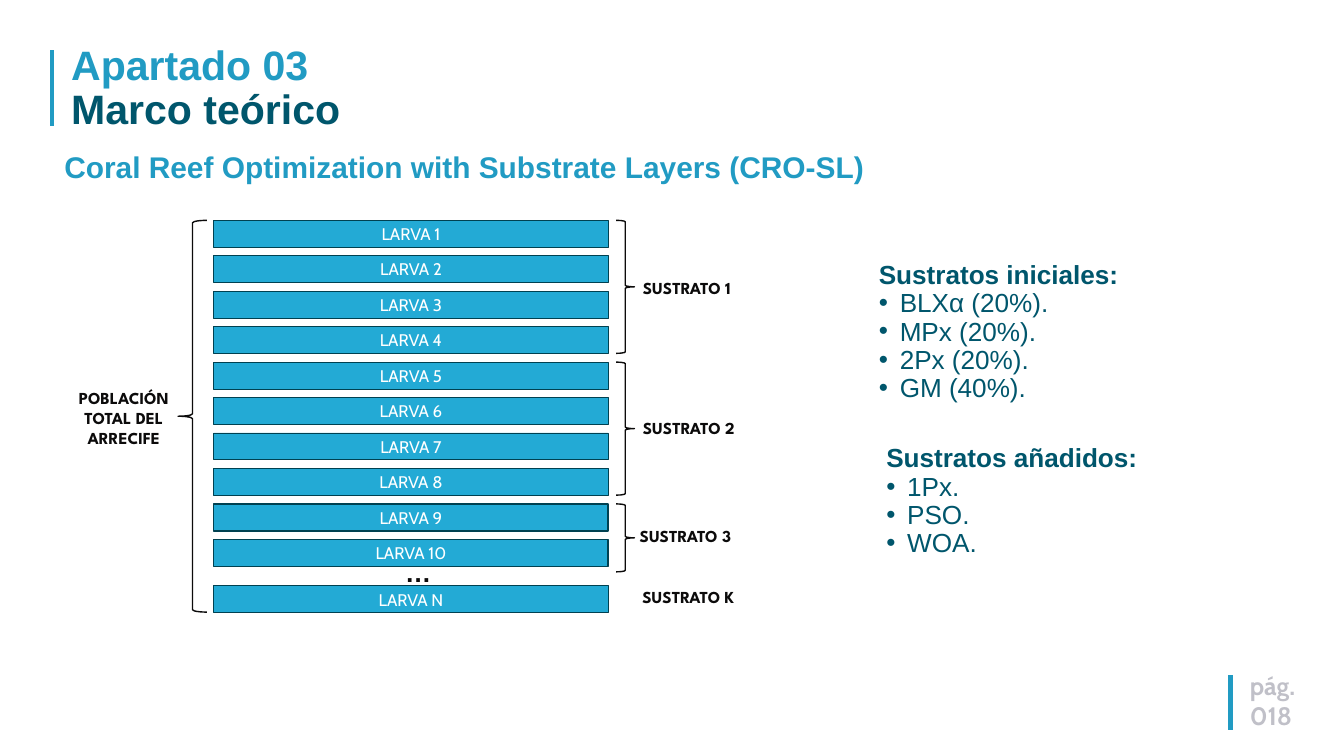
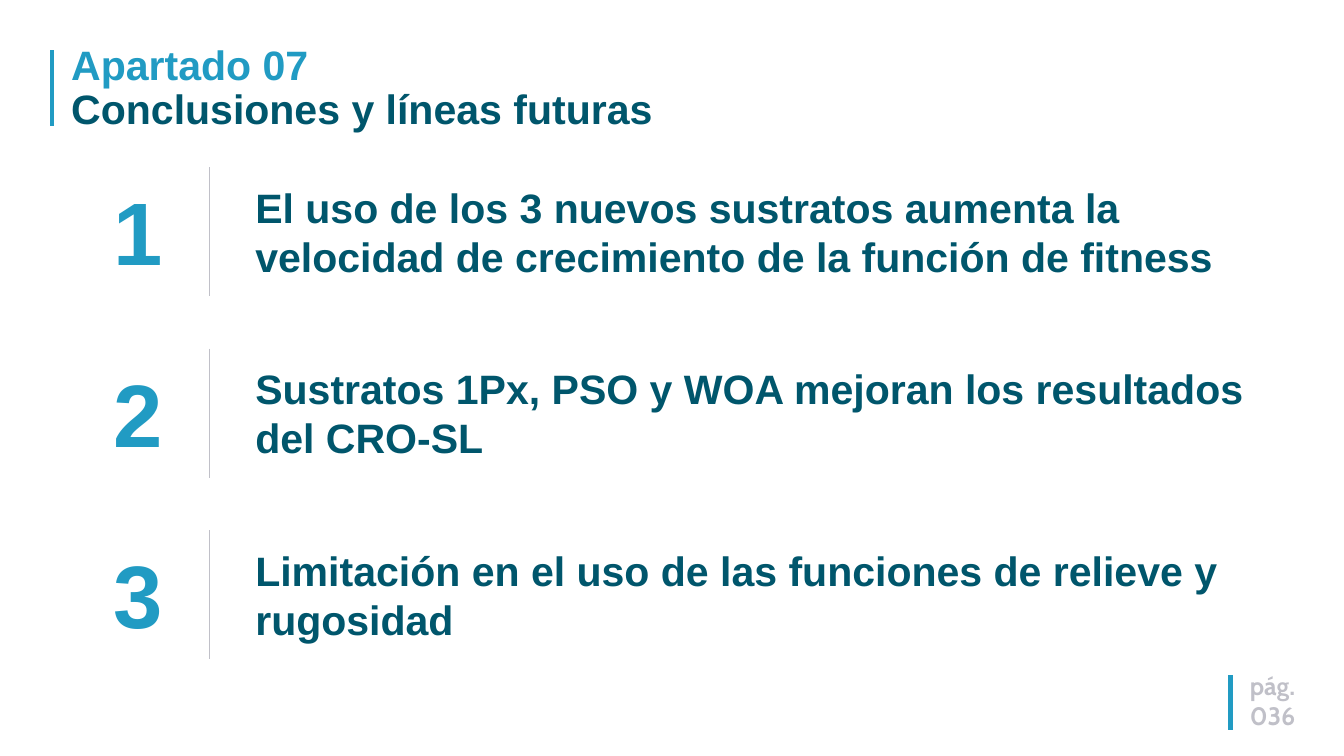
import dataclasses
import typing

import pptx
import pptx.dml.color
import pptx.enum.shapes
import pptx.enum.text
import pptx.oxml
import pptx.oxml.ns
import pptx.shapes.autoshape
import pptx.shapes.shapetree
import pptx.slide
import pptx.text.text
import pptx.util
from lxml import etree

Cm = pptx.util.Cm
Pt = pptx.util.Pt
RGBColor = pptx.dml.color.RGBColor
Align = pptx.enum.text.PP_ALIGN
Preset = pptx.enum.shapes.MSO_SHAPE
Shapes = typing.Union[pptx.shapes.shapetree.SlideShapes,
                      pptx.shapes.shapetree.GroupShapes]

# Shared colours
BLUE = RGBColor(0x21, 0x9B, 0xC3)
TEAL = RGBColor(0x00, 0x56, 0x6C)
GREY = RGBColor(0xC0, 0xC0, 0xC8)
LARVA_FILL = RGBColor(0x23, 0xAA, 0xD5)
LARVA_EDGE = RGBColor(0x00, 0x41, 0x51)
WHITE = RGBColor(0xFF, 0xFF, 0xFF)
BLACK = RGBColor(0x0C, 0x0B, 0x0B)


@dataclasses.dataclass(frozen=True)
class Box:
    """Place and size in centimetres."""
    left: float
    top: float
    width: float
    height: float

    def emu(self) -> tuple[int, int, int, int]:
        return Cm(self.left), Cm(self.top), Cm(self.width), Cm(self.height)


@dataclasses.dataclass(frozen=True)
class Style:
    size: float
    color: typing.Optional[RGBColor]
    name: str = "Arial"
    bold: bool = True
    align: Align = Align.LEFT
    spacing: float = 1.0


@dataclasses.dataclass(frozen=True)
class Substrate:
    label: str
    label_box: Box
    first_row: int = 0
    brace_height: float = 0  # zero means no brace


@dataclasses.dataclass(frozen=True)
class BulletList:
    heading: str
    items: tuple[str, ...]
    box: Box


# Text styles
TITLE = Style(44, None, spacing=0.9)
PAGE = Style(27, GREY, "Cabin")
SUBTITLE = Style(32, BLUE, spacing=0.9)
LARVA = Style(18, WHITE, "Cabin", bold=False, align=Align.CENTER)
LABEL = Style(18, BLACK, "League Spartan")
POPULATION = dataclasses.replace(LABEL, align=Align.CENTER)
ELLIPSIS = Style(28, BLACK)
LIST_HEADING = Style(28, TEAL, spacing=0.9)
LIST_ITEM = dataclasses.replace(LIST_HEADING, bold=False)
CONCLUSION = Style(44, TEAL)
NUMBER = Style(95, BLUE, align=Align.RIGHT)

# Reef diagram
LARVA_LEFT, LARVA_TOP, LARVA_WIDTH, LARVA_HEIGHT = 8.08, 8.33, 14.91, 1.02
LARVA_PITCH = 1.34
LARVA_COUNT = 10
LAST_LARVA_TOP = 22.15
SUBSTRATES = (
    Substrate("SUSTRATO 1", Box(24.05, 10.39, 4.85, 1.3), 0, 5.03),
    Substrate("SUSTRATO 2", Box(24.05, 15.65, 4.62, 1.3), 4, 5.03),
    Substrate("SUSTRATO 3", Box(23.93, 19.74, 4.62, 1.3), 8, 2.57),
    Substrate("SUSTRATO K", Box(24.03, 22.07, 4.85, 1.02)),
)
BULLET_LISTS = (
    BulletList("Sustratos iniciales:",
               ("BLXα (20%).", "MPx (20%).", "2Px (20%).", "GM (40%)."),
               Box(32.97, 9.78, 11.38, 5.99)),
    BulletList("Sustratos añadidos:", ("1Px.", "PSO.", "WOA."),
               Box(33.25, 16.71, 11.38, 5.99)),
)

# Conclusions
CONCLUSIONS = (
    "El uso de los 3 nuevos sustratos aumenta la velocidad de crecimiento "
    "de la función de fitness",
    "Sustratos 1Px, PSO y WOA mejoran los resultados del CRO-SL",
    "Limitación en el uso de las funciones de relieve y rugosidad",
)
CONCLUSION_PITCH = 6.86


def apply_style(paragraph: pptx.text.text._Paragraph, style: Style) -> None:
    paragraph.alignment = style.align
    paragraph.line_spacing = style.spacing
    paragraph.font.size = Pt(style.size)
    paragraph.font.name = style.name
    paragraph.font.bold = style.bold
    if style.color is not None:
        paragraph.font.color.rgb = style.color


def add_bullet(paragraph: pptx.text.text._Paragraph) -> None:
    properties = paragraph._p.get_or_add_pPr()
    properties.set("marL", str(Cm(0.79)))
    properties.set("indent", str(-Cm(0.79)))
    for tag, key, value in (("a:buFont", "typeface", "Arial"),
                            ("a:buChar", "char", "•")):
        etree.SubElement(properties, pptx.oxml.ns.qn(tag)).set(key, value)


def add_text(shapes: Shapes, box: Box, style: Style,
             *lines: str) -> pptx.text.text.TextFrame:
    frame = shapes.add_textbox(*box.emu()).text_frame
    frame.word_wrap = True
    frame.text = "\n".join(lines)
    for paragraph in frame.paragraphs:
        apply_style(paragraph, style)
    return frame


def add_vertical(shapes: Shapes, x: float, top: float, bottom: float,
                 color: RGBColor, weight: float) -> None:
    rule = shapes.add_connector(pptx.enum.shapes.MSO_CONNECTOR.STRAIGHT,
                                Cm(x), Cm(top), Cm(x), Cm(bottom))
    rule.line.color.rgb = color
    rule.line.width = Pt(weight)
    etree.SubElement(rule._element.spPr, pptx.oxml.ns.qn("a:effectLst"))


def add_outlined(shapes: Shapes, preset: Preset, box: Box, edge: RGBColor,
                 weight: float) -> pptx.shapes.autoshape.Shape:
    outlined = shapes.add_shape(preset, *box.emu())
    outlined.shadow.inherit = False
    outlined.fill.background()
    outlined.line.color.rgb = edge
    outlined.line.width = Pt(weight)
    return outlined


def add_larva(shapes: Shapes, name: str, top: float, weight: float) -> None:
    larva = add_outlined(shapes, Preset.RECTANGLE,
                         Box(LARVA_LEFT, top, LARVA_WIDTH, LARVA_HEIGHT),
                         LARVA_EDGE, weight)
    larva.fill.solid()
    larva.fill.fore_color.rgb = LARVA_FILL
    frame = larva.text_frame
    frame.text = f"LARVA {name}"
    frame.vertical_anchor = pptx.enum.text.MSO_ANCHOR.MIDDLE
    apply_style(frame.paragraphs[0], LARVA)


def add_section_slide(deck: pptx.presentation.Presentation, section: str,
                      title: str, title_width: float,
                      page: str) -> pptx.slide.Slide:
    slide = deck.slides.add_slide(deck.slide_layouts[6])
    add_vertical(slide.shapes, 46.51, 25.53, 27.58, BLUE, 5)
    add_vertical(slide.shapes, 1.96, 1.9, 4.78, BLUE, 5)

    # Section and title share one paragraph with a line break
    frame = add_text(slide.shapes, Box(2.44, 1.57, title_width, 3.66), TITLE)
    heading = frame.paragraphs[0]
    for text, color in ((section, BLUE), (title, TEAL)):
        if heading.runs:
            heading.add_line_break()
        run = heading.add_run()
        run.text = text
        run.font.color.rgb = color

    add_text(slide.shapes, Box(46.99, 25.2, 3.8, 2.57), PAGE, "pág.", page)
    return slide


def draw_reef(shapes: Shapes) -> None:
    def row_top(row: int) -> float:
        return LARVA_TOP + row * LARVA_PITCH

    # Larvae
    for row in range(LARVA_COUNT):
        add_larva(shapes, str(row + 1), row_top(row), 1 if row < 8 else 1.5)
    add_larva(shapes, "N", LAST_LARVA_TOP, 1)
    add_text(shapes, Box(15.06, 20.9, 1.5, 1.45), ELLIPSIS, "…")

    # Substrates
    for substrate in SUBSTRATES:
        if substrate.brace_height:
            add_outlined(shapes, Preset.RIGHT_BRACE,
                         Box(23.29, row_top(substrate.first_row), 0.69,
                             substrate.brace_height), BLACK, 1.5)
        add_text(shapes, substrate.label_box, LABEL, substrate.label)

    # Whole population
    population = add_outlined(shapes, Preset.RIGHT_BRACE,
                              Box(6.73, LARVA_TOP, 1.09, 14.81), BLACK, 1.5)
    population.rotation = 180
    add_text(shapes, Box(2.18, 14.53, 5, 2.57), POPULATION,
             "POBLACIÓN TOTAL DEL ARRECIFE")


def draw_bullet_list(shapes: Shapes, bullets: BulletList) -> None:
    frame = add_text(shapes, bullets.box, LIST_HEADING, bullets.heading)
    for item in bullets.items:
        paragraph = frame.add_paragraph()
        paragraph.text = item
        add_bullet(paragraph)
        apply_style(paragraph, LIST_ITEM)


def draw_conclusion(shapes: Shapes, index: int, text: str) -> None:
    offset = index * CONCLUSION_PITCH
    add_text(shapes, Box(9.4, 6.76 + offset, 39.14, 4.01), CONCLUSION, text)
    add_vertical(shapes, 7.92, 6.32 + offset, 11.2 + offset, GREY, 2)
    add_text(shapes, Box(2.46, 6.58 + offset, 3.96, 4.32), NUMBER,
             str(index + 1))


def main() -> None:
    deck = pptx.Presentation()
    deck.slide_width, deck.slide_height = Cm(50.8), Cm(28.58)

    # Theory: reef with substrate layers
    theory = add_section_slide(deck, "Apartado 03", "Marco teórico", 20.14,
                               "018")
    draw_reef(theory.shapes.add_group_shape().shapes)
    add_text(theory.shapes, Box(2.18, 5.64, 33.17, 2.13), SUBTITLE,
             "Coral Reef Optimization with Substrate Layers (CRO-SL)")
    for bullets in BULLET_LISTS:
        draw_bullet_list(theory.shapes, bullets)

    # Conclusions
    closing = add_section_slide(deck, "Apartado 07",
                                "Conclusiones y líneas futuras", 22.96, "036")
    for index, text in enumerate(CONCLUSIONS):
        draw_conclusion(closing.shapes, index, text)

    deck.save("out.pptx")


if __name__ == "__main__":
    main()
